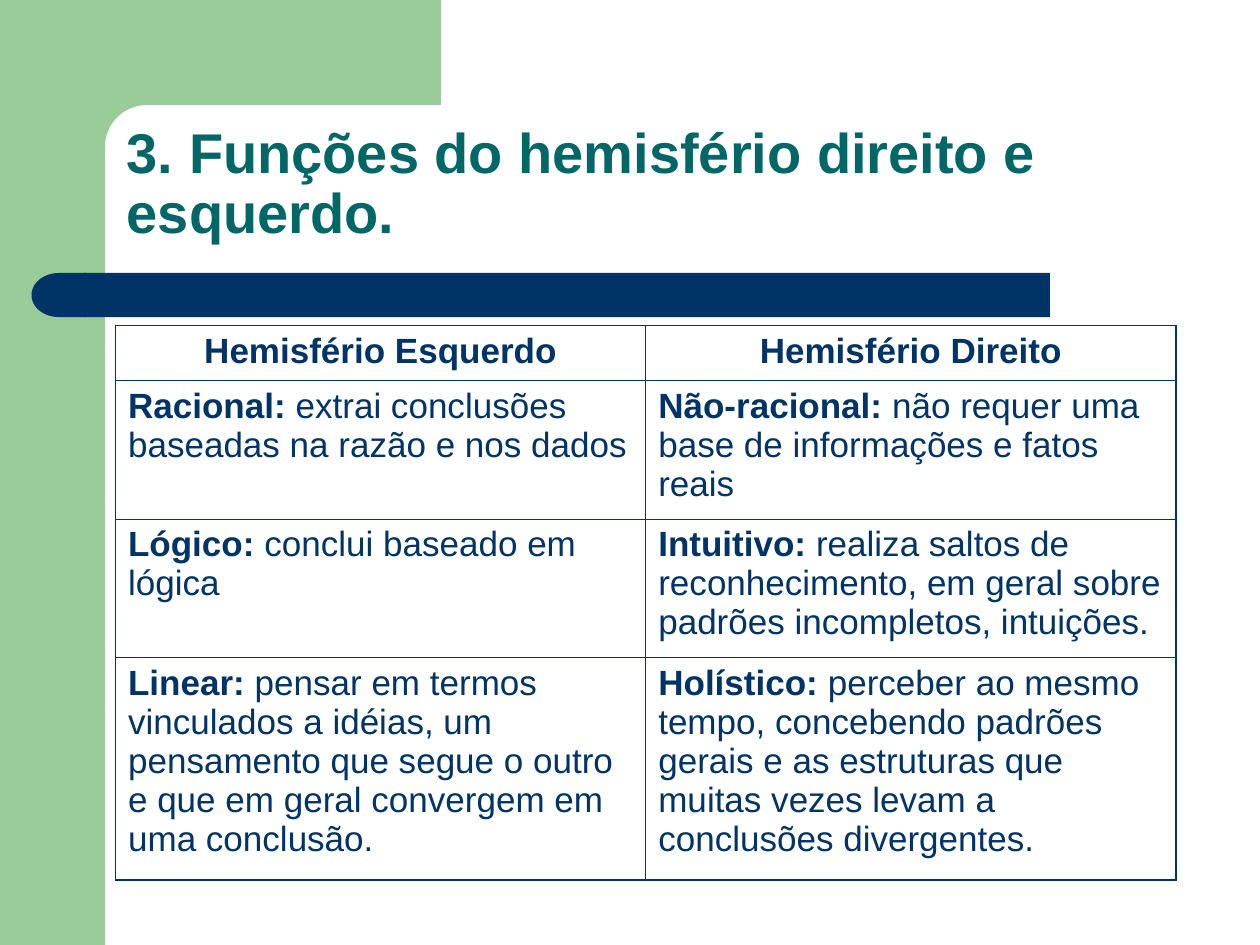
import math
import pptx
import pptx.util
import pptx.dml.color
import pptx.enum.shapes
import pptx.enum.text
import pptx.oxml

color = pptx.dml.color.RGBColor.from_string
Shape = pptx.enum.shapes.MSO_SHAPE
Align = pptx.enum.text.PP_ALIGN

theme = {
    "green": "99CC99", "navy": "003366", "teal": "006666",
    "font": "Arial", "title": 32, "body": 20,
    "outer": 1.08, "inner": 0.45,
}

deck = pptx.Presentation()
deck.slide_width = pptx.util.Inches(10)
deck.slide_height = pptx.util.Inches(7.5)
page = deck.slides.add_slide(deck.slide_layouts[6])
unit = deck.slide_width / 12


def grid(*counts):
    return [round(count * unit) for count in counts]


def style(para, size, tone):
    para.font.name = theme["font"]
    para.font.size = pptx.util.Pt(size)
    para.font.color.rgb = color(theme[tone])


band = page.shapes.add_shape(Shape.RECTANGLE, *grid(0, 0, 1, 9))

radius = 0.4
angles = [math.radians(90 * step / 16) for step in range(17)]
corner = [(1 + radius * (1 - math.sin(angle)), 1 + radius * (1 - math.cos(angle)))
          for angle in angles]
outline = [(4.2, 0), (4.2, 1), *corner, (1, 1.54), (0.6, 1.54), (0.6, 0)]
points = [tuple(grid(*point)) for point in outline]
builder = page.shapes.build_freeform(*points[0])
builder.add_line_segments(points[1:], close=True)
step_block = builder.convert_to_shape()

bar = page.shapes.add_shape(Shape.ROUNDED_RECTANGLE, *grid(0.8, 2.6, 9.2, 0.42))
bar.adjustments[0] = 0
cap = page.shapes.add_shape(Shape.FLOWCHART_DELAY, *grid(0.3, 2.6, 0.52, 0.42))
cap.element.spPr.get_or_add_xfrm().set("flipH", "1")

for shape, tone in ((band, "green"), (step_block, "green"), (bar, "navy"), (cap, "navy")):
    shape.shadow.inherit = False
    shape.fill.solid()
    shape.fill.fore_color.rgb = color(theme[tone])
    shape.line.fill.background()

box = page.shapes.add_textbox(*grid(1.09, 1.09, 10.21, 1.31))
box.text_frame.word_wrap = True
box.text_frame.vertical_anchor = pptx.enum.text.MSO_ANCHOR.BOTTOM
para = box.text_frame.paragraphs[0]
para.text = "3. Funções do hemisfério direito e esquerdo."
para.line_spacing = 0.9
para.font.bold = True
style(para, theme["title"], "teal")

entries = [
    [("Hemisfério Esquerdo", ""), ("Hemisfério Direito", "")],
    [("Racional:", " extrai conclusões baseadas na razão e nos dados"),
     ("Não-racional:", " não requer uma base de informações e fatos reais")],
    [("Lógico:", " conclui baseado em lógica"),
     ("Intuitivo:", " realiza saltos de reconhecimento, em geral sobre padrões "
                    "incompletos, intuições.")],
    [("Linear:", " pensar em termos vinculados a idéias, um pensamento que segue "
                 "o outro e que em geral convergem em uma conclusão."),
     ("Holístico:", " perceber ao mesmo tempo, concebendo padrões gerais e as "
                    "estruturas que muitas vezes levam a conclusões divergentes.")],
]
heights = [0.52, 1.32, 1.32, 2.12]
table = page.shapes.add_table(4, 2, *grid(1.1, 3.1, 10.1, sum(heights))).table
table.first_row = False
table.horz_banding = False
for row, height in zip(table.rows, grid(*heights)):
    row.height = height

for r, row_entries in enumerate(entries):
    for c, (term, meaning) in enumerate(row_entries):
        cell = table.cell(r, c)
        para = cell.text_frame.paragraphs[0]
        para.alignment = Align.LEFT if meaning else Align.CENTER
        style(para, theme["body"], "navy")
        for text, bold in ((term, True), (meaning, False)):
            if text:
                span = para.add_run()
                span.text = text
                span.font.bold = bold
        edges = {"L": c == 0, "R": c == 1, "T": r == 0, "B": r == len(entries) - 1}
        for side, outside in edges.items():
            width = pptx.util.Pt(theme["outer" if outside else "inner"])
            cell._tc.get_or_add_tcPr().append(pptx.oxml.parse_xml(
                f'<a:ln{side} xmlns:a="http://schemas.openxmlformats.org/drawingml/2006/main" '
                f'w="{width}"><a:solidFill><a:srgbClr val="{theme["navy"]}"/>'
                f'</a:solidFill></a:ln{side}>'))
        cell.fill.background()

deck.save("out.pptx")
